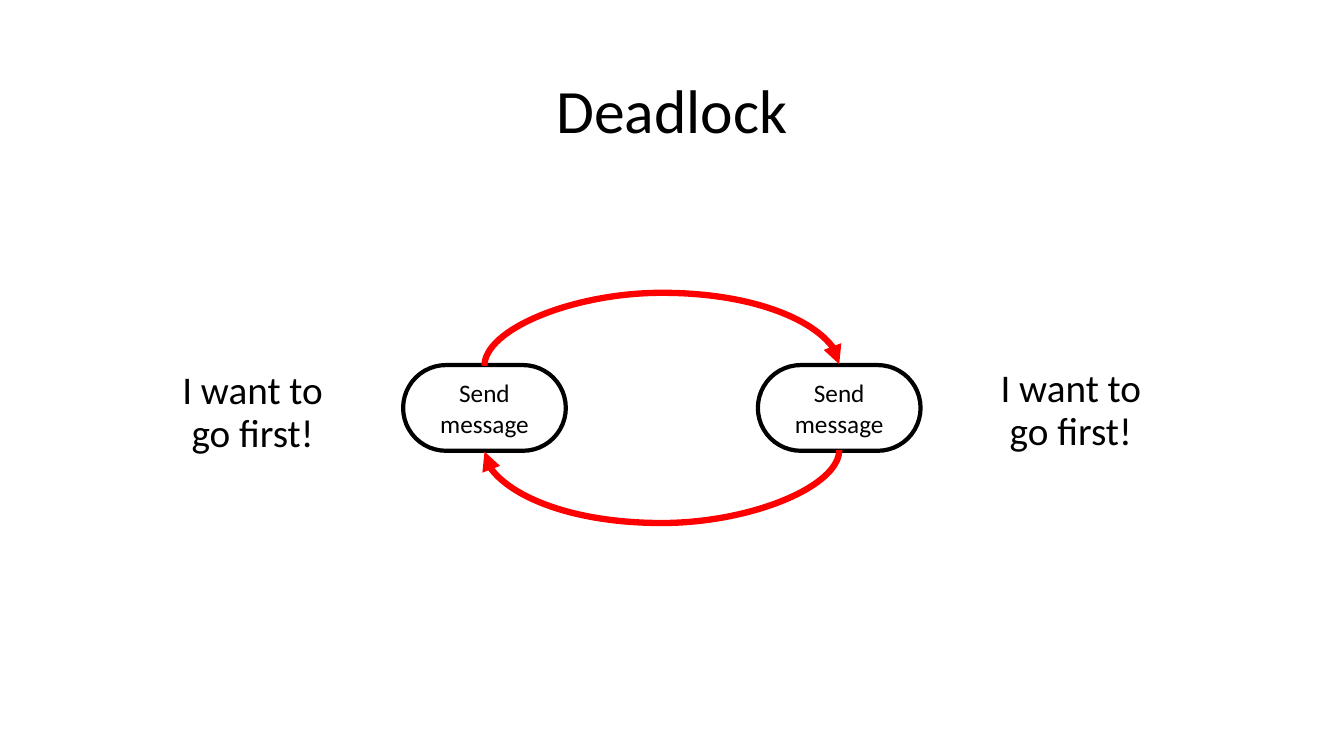
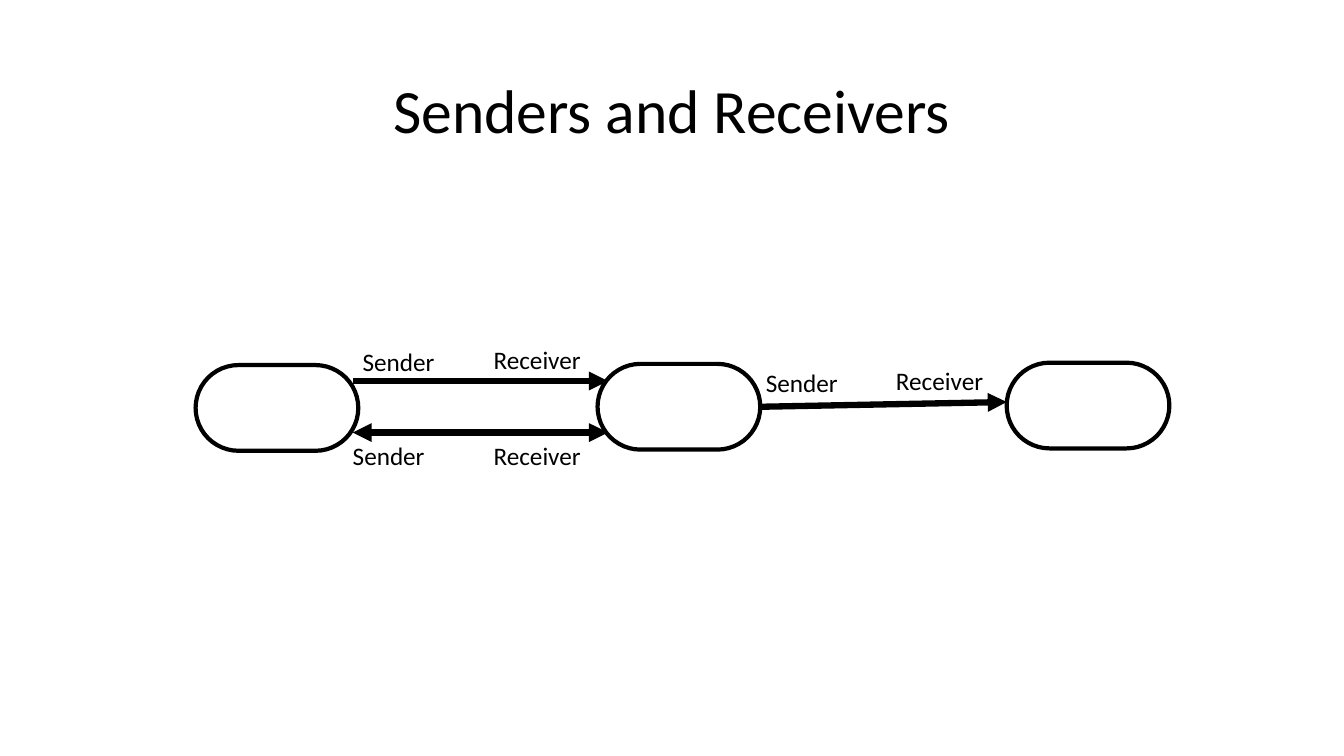
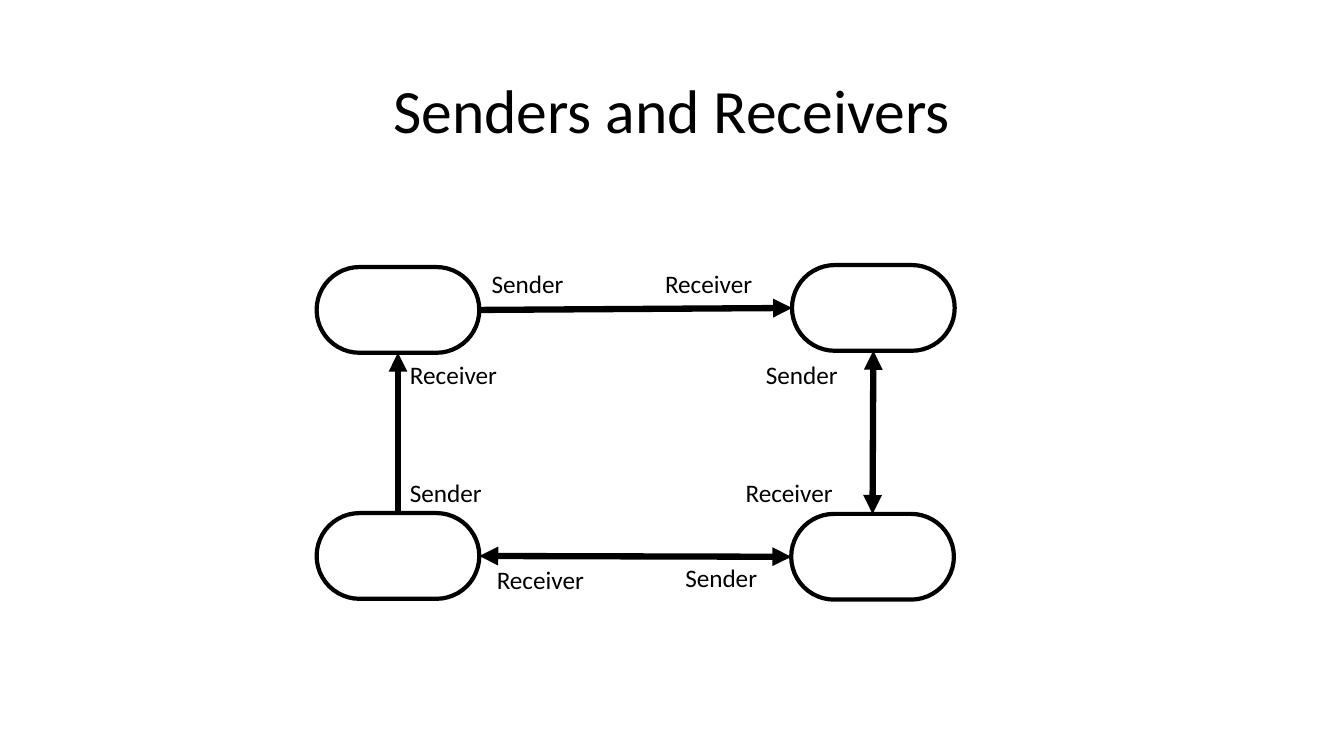
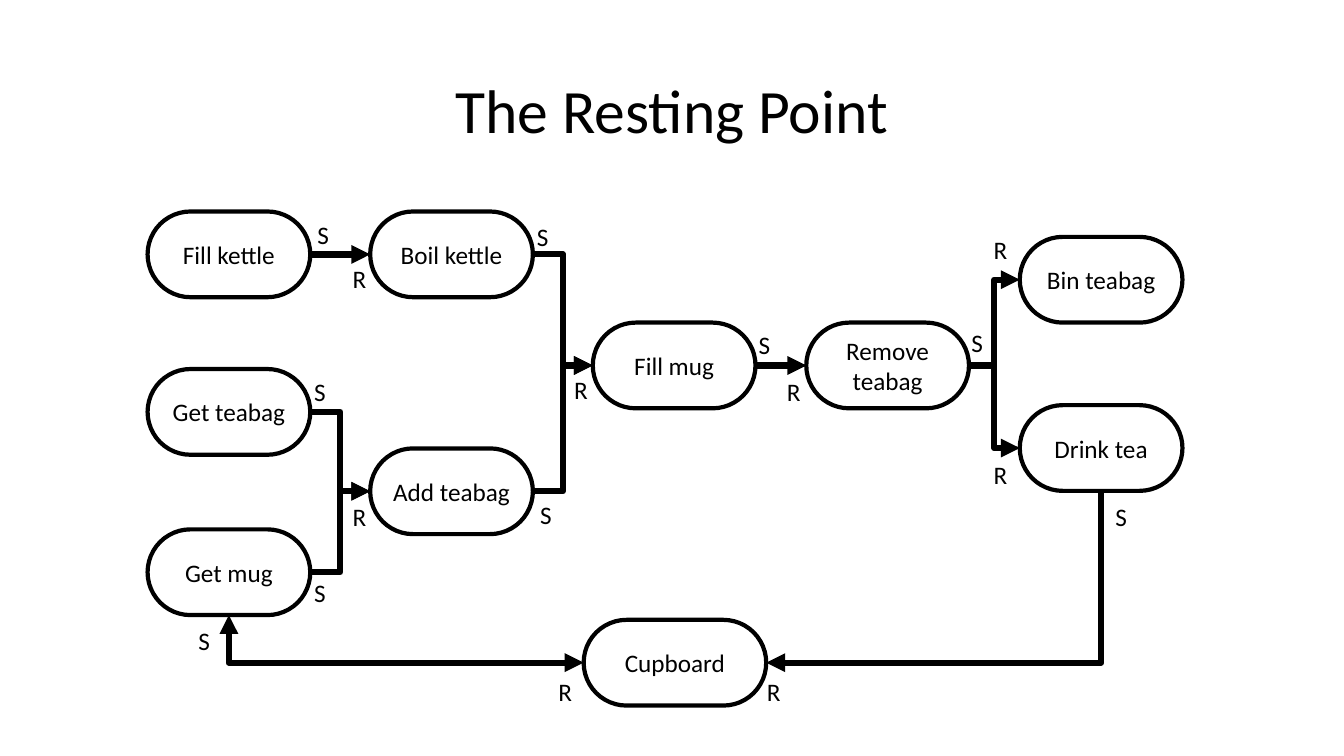
from dataclasses import dataclass

from lxml.etree import SubElement
from pptx import Presentation
from pptx.dml.color import RGBColor
from pptx.enum.shapes import MSO_CONNECTOR, MSO_SHAPE
from pptx.enum.text import MSO_ANCHOR, MSO_AUTO_SIZE, PP_ALIGN
from pptx.oxml.ns import qn
from pptx.util import Cm, Pt


@dataclass(frozen=True)
class Theme:
    font: str = "Calibri"
    ink: RGBColor = RGBColor(0, 0, 0)
    alert: RGBColor = RGBColor(255, 0, 0)
    title_size: Pt = Pt(44)
    speech_size: Pt = Pt(28)
    label_size: Pt = Pt(18)
    outline: Pt = Pt(3)
    arrow: Pt = Pt(4.5)


theme = Theme()
TOP, LEFT, BOTTOM, RIGHT = range(4)
PILL_WIDTH, PILL_HEIGHT = 4.1, 2.16
HEAD, TAIL, BOTH = ("headEnd",), ("tailEnd",), ("headEnd", "tailEnd")


def add_pill(page, left, top, text="", width=PILL_WIDTH):
    pill = page.shapes.add_shape(
        MSO_SHAPE.ROUNDED_RECTANGLE, Cm(left), Cm(top), Cm(width), Cm(PILL_HEIGHT))
    pill.adjustments[0] = 0.5
    pill.shadow.inherit = False
    pill.fill.background()
    pill.line.color.rgb = theme.ink
    pill.line.width = theme.outline
    if text:
        pill.text_frame.text = text
        pill.text_frame.vertical_anchor = MSO_ANCHOR.MIDDLE
        para = pill.text_frame.paragraphs[0]
        para.alignment = PP_ALIGN.CENTER
        para.font.name = theme.font
        para.font.size = theme.label_size
        para.font.color.rgb = theme.ink
    return pill


def add_link(page, start=None, end=None, arrows=TAIL, kind=MSO_CONNECTOR.STRAIGHT,
             points=(0, 0, 0, 0), color=theme.ink):
    link = page.shapes.add_connector(kind, *(Cm(value) for value in points))
    if start:
        link.begin_connect(*start)
    if end:
        link.end_connect(*end)
    link.line.color.rgb = color
    link.line.width = theme.arrow
    properties = link.element.spPr
    for arrow in arrows:
        SubElement(properties.find(qn("a:ln")), qn(f"a:{arrow}"), type="triangle")
    SubElement(properties, qn("a:effectLst"))
    return link


deck = Presentation()
deck.slide_width, deck.slide_height = Cm(33.87), Cm(19.05)

pages = []
for title, layout in (
    ("Deadlock", 1),
    ("Senders and Receivers", 5),
    ("Senders and Receivers", 5),
    ("The Resting Point", 5),
):
    page = deck.slides.add_slide(deck.slide_layouts[layout])
    heading = page.shapes.title
    heading.left, heading.top, heading.width, heading.height = (
        Cm(2.33), Cm(1.01), Cm(29.21), Cm(3.68))
    heading.text_frame.text = title
    heading.text_frame.auto_size = MSO_AUTO_SIZE.NONE
    heading.text_frame.vertical_anchor = MSO_ANCHOR.MIDDLE
    para = heading.text_frame.paragraphs[0]
    para.alignment = PP_ALIGN.CENTER
    para.line_spacing = 0.9
    span = para.runs[0]
    span.font.name = theme.font
    span.font.size = theme.title_size
    span.font.color.rgb = theme.ink
    pages.append(page)

deadlock, chain, ring, tea = pages

left_speech = deadlock.placeholders[1]
left_speech.left, left_speech.top, left_speech.width, left_speech.height = (
    Cm(4.17), Cm(9.22), Cm(4.39), Cm(6.02))
right_speech = deadlock.shapes.add_textbox(Cm(24.79), Cm(9.17), Cm(4.39), Cm(6.02))
for speech in (left_speech, right_speech):
    speech.text_frame.text = "I want to go first!"
    speech.text_frame.word_wrap = True
    speech.text_frame.auto_size = MSO_AUTO_SIZE.NONE
    para = speech.text_frame.paragraphs[0]
    para.alignment = PP_ALIGN.CENTER
    para.line_spacing = 0.9
    para.space_before = Pt(10)
    settings = para._p.get_or_add_pPr()
    settings.set("marL", "0")
    settings.set("indent", "0")
    SubElement(settings, qn("a:buNone"))
    span = para.runs[0]
    span.font.name = theme.font
    span.font.size = theme.speech_size
    span.font.color.rgb = theme.ink

first_left, second_left, pill_top = 10.16, 19.1, 9.2
first = add_pill(deadlock, first_left, pill_top, "Send message")
second = add_pill(deadlock, second_left, pill_top, "Send message")
distance = second_left - first_left
middle_x = first_left + (distance + PILL_WIDTH) / 2
thickness = 0.04
for start, end, side, level, flip in (
    (first, second, TOP, pill_top, "1"),
    (second, first, BOTTOM, pill_top + PILL_HEIGHT, "0"),
):
    curve = add_link(deadlock, (start, side), (end, side),
                     kind=MSO_CONNECTOR.CURVE, color=theme.alert)
    curve.left, curve.top = Cm(middle_x - thickness / 2), Cm(level - distance / 2)
    curve.width, curve.height = Cm(thickness), Cm(distance)
    frame = curve.element.spPr.find(qn("a:xfrm"))
    frame.set("rot", "5400000")
    frame.set("flipH", flip)
    frame.set("flipV", flip)
    guides = curve.element.spPr.find(qn("a:prstGeom")).find(qn("a:avLst"))
    SubElement(guides, qn("a:gd"), name="adj1", fmla="val 4600000")

add_pill(chain, 4.93, 9.2)
center_pill = add_pill(chain, 15.06, 9.17)
add_pill(chain, 25.37, 9.14)
add_link(chain, points=(8.89, 9.6, 15.32, 9.6))
add_link(chain, points=(8.89, 10.9, 15.32, 10.9), arrows=BOTH)
add_link(chain, (center_pill, RIGHT), points=(19.16, 10.25, 25.37, 10.13))

top_left = add_pill(ring, 7.98, 6.73)
top_right = add_pill(ring, 19.96, 6.68)
bottom_left = add_pill(ring, 7.98, 12.93)
bottom_right = add_pill(ring, 19.94, 12.95)
add_link(ring, (top_left, RIGHT), (top_right, LEFT))
add_link(ring, (top_right, BOTTOM), (bottom_right, TOP), BOTH)
add_link(ring, (bottom_right, LEFT), (bottom_left, RIGHT), BOTH)
add_link(ring, (bottom_left, TOP), (top_left, BOTTOM))

columns = [3.72, 9.33, 14.94, 20.32, 25.7]
steps = {
    text: add_pill(tea, columns[column], top, text)
    for text, column, top in (
        ("Fill kettle", 0, 5.33),
        ("Get teabag", 0, 9.3),
        ("Get mug", 0, 13.34),
        ("Boil kettle", 1, 5.33),
        ("Add teabag", 1, 11.3),
        ("Fill mug", 2, 8.13),
        ("Remove teabag", 3, 8.13),
        ("Bin teabag", 4, 5.97),
        ("Drink tea", 4, 10.21),
    )
}
cupboard = add_pill(tea, 14.71, 15.62, "Cupboard", 4.6)

for source, target, kind in (
    ("Fill kettle", "Boil kettle", MSO_CONNECTOR.STRAIGHT),
    ("Get teabag", "Add teabag", MSO_CONNECTOR.ELBOW),
    ("Get mug", "Add teabag", MSO_CONNECTOR.ELBOW),
    ("Add teabag", "Fill mug", MSO_CONNECTOR.ELBOW),
    ("Boil kettle", "Fill mug", MSO_CONNECTOR.ELBOW),
    ("Fill mug", "Remove teabag", MSO_CONNECTOR.STRAIGHT),
    ("Remove teabag", "Bin teabag", MSO_CONNECTOR.ELBOW),
    ("Remove teabag", "Drink tea", MSO_CONNECTOR.ELBOW),
):
    add_link(tea, (steps[source], RIGHT), (steps[target], LEFT), kind=kind)

for side, step, arrows in ((RIGHT, "Drink tea", HEAD), (LEFT, "Get mug", BOTH)):
    corner = add_link(tea, (cupboard, side), (steps[step], BOTTOM), arrows, MSO_CONNECTOR.ELBOW)
    corner.element.spPr.find(qn("a:prstGeom")).set("prst", "bentConnector2")

for page, text, places in (
    (chain, "Sender", [(8.89, 8.61), (8.64, 10.97), (19.05, 9.12)]),
    (chain, "Receiver", [(12.19, 8.56), (12.19, 10.97), (22.33, 9.09)]),
    (ring, "Sender", [(12.14, 6.63), (19.05, 8.94), (17.02, 14.05), (10.08, 11.91)]),
    (ring, "Receiver", [(16.51, 6.63), (18.54, 11.91), (12.27, 14.1), (10.08, 8.94)]),
    (tea, "S", [(7.75, 5.41), (13.28, 5.44), (7.67, 9.37), (7.67, 14.43), (13.36, 12.47),
                (18.87, 8.18), (24.23, 8.13), (27.86, 12.5), (4.75, 15.62)]),
    (tea, "R", [(8.64, 6.5), (8.64, 12.5), (14.22, 9.32), (19.58, 9.37), (24.79, 5.79),
                (24.79, 11.46), (19.08, 16.92), (13.82, 16.92)]),
):
    width = 0.91 if len(text) == 1 else 3.5
    for left, top in places:
        box = page.shapes.add_textbox(Cm(left), Cm(top), Cm(width), Cm(1.03))
        box.text_frame.word_wrap = True
        box.text_frame.text = text
        span = box.text_frame.paragraphs[0].runs[0]
        span.font.name = theme.font
        span.font.size = theme.label_size
        span.font.color.rgb = theme.ink

deck.save("out.pptx")
